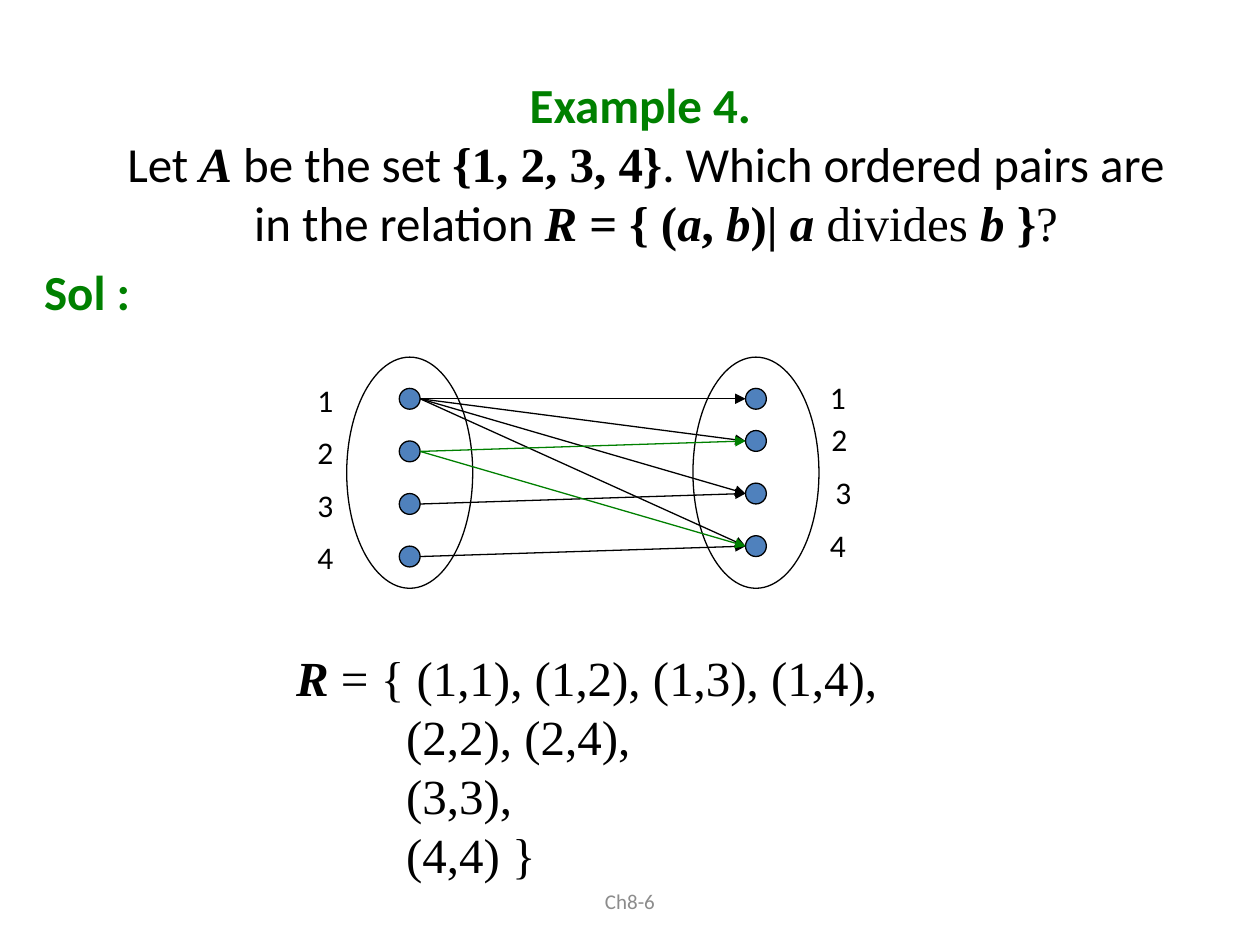
import pptx
import pptx.util
import pptx.dml.color
import pptx.enum.shapes
import pptx.enum.text
import pptx.oxml.ns
import lxml.etree

Cm, Pt = pptx.util.Cm, pptx.util.Pt
MSO = pptx.enum.shapes
ALIGN = pptx.enum.text.PP_ALIGN
ANCHOR = pptx.enum.text.MSO_ANCHOR

COLOURS = {"ink": "000000", "green": "008000", "dot": "4F81BD", "footer": "8C8C8C"}
SANS, SERIF = "Calibri", "Times New Roman"

STYLES = {
    "heading": (SANS, True, False, "green"),
    "plain": (SANS, False, False, "ink"),
    "serif": (SERIF, False, False, "ink"),
    "math": (SERIF, True, False, "ink"),
    "variable": (SERIF, True, True, "ink"),
}

TITLE = [
    (0, [("Example 4. ", "heading")]),
    (0, [("Let ", "plain"), ("A", "variable"), (" be the set ", "plain"),
         ("{1, 2, 3, 4}", "math"), (". Which ordered pairs are", "plain")]),
    (0.41, [("in the relation ", "plain"), ("R ", "variable"), ("= { (", "math"),
            ("a", "variable"), (", ", "math"), ("b", "variable"), (")| ", "math"),
            ("a", "variable"), (" divides ", "serif"), ("b", "variable"),
            (" }", "math"), ("?", "serif")]),
]
RESULT = [
    (0, [("R", "variable"), (" = { (1,1), (1,2), (1,3), (1,4),", "serif")]),
    (2.22, [("(2,2), (2,4),", "serif")]),
    (2.22, [("(3,3),", "serif")]),
    (2.22, [("(4,4) }", "serif")]),
]
DIVIDES = [(1, 1), (1, 2), (1, 3), (1, 4), (3, 3), (4, 4), (2, 2), (2, 4)]
GREEN_SOURCE = 2

DOT = 0.42
OVAL_TOP, OVAL_WIDTH, OVAL_HEIGHT = 7.2, 2.54, 4.66
SETS = {
    "domain": {
        "left": 6.99,
        "dots": [8.04 + 1.06 * step for step in range(4)],
        "labels": [6.15] * 4,
        "rise": 0.49,
    },
    "range": {
        "left": 13.97,
        "dots": [8.04, 8.89, 9.95, 11.01],
        "labels": [16.48, 16.51, 16.59, 16.48],
        "rise": 0.54,
    },
}


def colour(name):
    return pptx.dml.color.RGBColor.from_string(COLOURS[name])


def set_font(font, size, style):
    font.name, font.bold, font.italic, tint = STYLES[style]
    font.size = Pt(size)
    font.color.rgb = colour(tint)


def write(frame, lines, size, align=ALIGN.LEFT):
    for index, (indent, spans) in enumerate(lines):
        para = frame.add_paragraph() if index else frame.paragraphs[0]
        para.alignment = align
        if indent:
            para._p.get_or_add_pPr().set("marL", str(Cm(indent)))
        if len(spans) == 1:
            set_font(para.font, size, spans[0][1])
        for text, style in spans:
            span = para.add_run()
            span.text = text
            if len(spans) > 1:
                set_font(span.font, size, style)


def add_text(page, left, top, width, height, lines, size, wrap=True, align=ALIGN.LEFT):
    box = page.shapes.add_textbox(Cm(left), Cm(top), Cm(width), Cm(height))
    box.text_frame.word_wrap = wrap
    write(box.text_frame, lines, size, align)
    return box


def add_ellipse(page, left, top, width, height, fill=None):
    ellipse = page.shapes.add_shape(
        MSO.MSO_SHAPE.OVAL, Cm(left), Cm(top), Cm(width), Cm(height))
    ellipse.shadow.inherit = False
    ellipse.line.color.rgb = colour("ink")
    ellipse.line.width = Pt(0.75)
    if fill:
        ellipse.fill.solid()
        ellipse.fill.fore_color.rgb = colour(fill)
    else:
        ellipse.fill.background()


def add_set(page, left, dots, labels, rise):
    add_ellipse(page, left, OVAL_TOP, OVAL_WIDTH, OVAL_HEIGHT)
    for middle in dots:
        add_ellipse(page, left + (OVAL_WIDTH - DOT) / 2, middle - DOT / 2, DOT, DOT, "dot")
    for number, (label_left, middle) in enumerate(zip(labels, dots), 1):
        add_text(page, label_left, middle - rise, 0.86, 1.02,
                 [(0, [(str(number), "plain")])], 18, wrap=False)


def add_arrow(page, source, target):
    domain, image = SETS["domain"], SETS["range"]
    arrow = page.shapes.add_connector(
        MSO.MSO_CONNECTOR.STRAIGHT,
        Cm(domain["left"] + (OVAL_WIDTH + DOT) / 2), Cm(domain["dots"][source - 1]),
        Cm(image["left"] + (OVAL_WIDTH - DOT) / 2), Cm(image["dots"][target - 1]))
    arrow.line.color.rgb = colour("green" if source == GREEN_SOURCE else "ink")
    arrow.line.width = Pt(0.75)
    qn = pptx.oxml.ns.qn
    lxml.etree.SubElement(arrow.line._get_or_add_ln(), qn("a:tailEnd"), type="triangle")
    lxml.etree.SubElement(arrow._element.spPr, qn("a:effectLst"))


def main():
    deck = pptx.Presentation()
    deck.slide_width, deck.slide_height = Cm(25.4), Cm(19.05)
    page = deck.slides.add_slide(deck.slide_layouts[5])

    title = page.shapes.title
    title.left, title.top, title.width, title.height = Cm(0.64), Cm(1.27), Cm(24.76), Cm(4.02)
    title.text_frame.vertical_anchor = ANCHOR.MIDDLE
    write(title.text_frame, TITLE, 28, ALIGN.CENTER)

    footer = add_text(page, 8.68, 17.65, 8.04, 1.02,
                      [(0, [("Ch8-6", "plain")])], 12, align=ALIGN.CENTER)
    footer.text_frame.vertical_anchor = ANCHOR.MIDDLE
    footer.text_frame.paragraphs[0].font.color.rgb = colour("footer")

    solution = add_text(page, 0.64, 5.29, 2.96, 1.48, [(0, [("Sol :", "heading")])], 28)
    solution.text_frame.paragraphs[0].line_spacing = 0.9
    solution.text_frame.paragraphs[0].space_before = Pt(5.6)

    for layout in SETS.values():
        add_set(page, **layout)
    for source, target in DIVIDES:
        add_arrow(page, source, target)

    add_text(page, 5.72, 12.93, 12.24, 5, RESULT, 28, wrap=False)
    deck.save("out.pptx")


if __name__ == "__main__":
    main()
